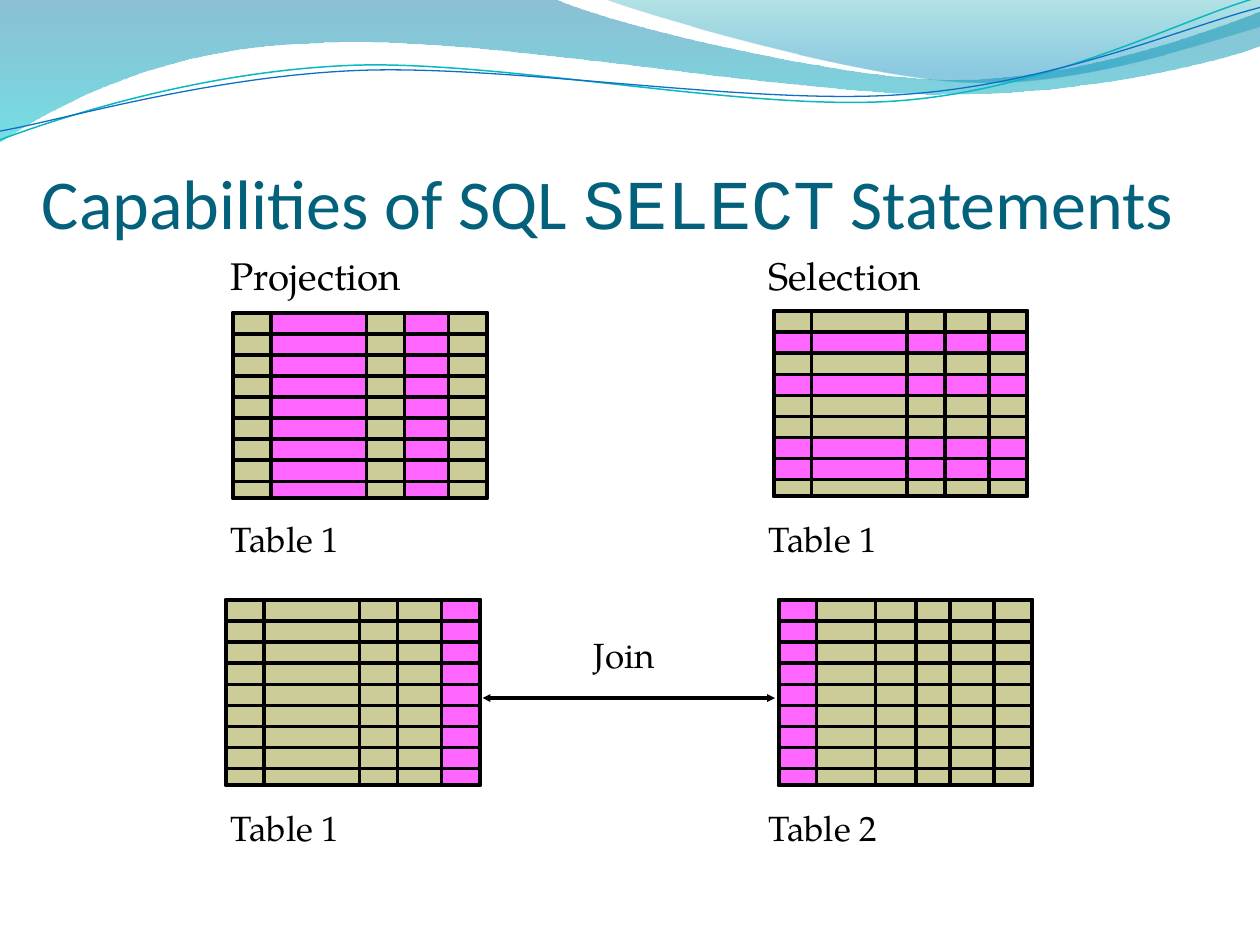
from math import cos, radians, sin

from lxml.etree import SubElement
from pptx import Presentation
from pptx.dml.color import RGBColor
from pptx.enum.shapes import MSO_CONNECTOR as Connector, MSO_SHAPE as Shape
from pptx.enum.text import MSO_ANCHOR as Anchor
from pptx.oxml.ns import qn
from pptx.util import Pt

COLOURS = {
    "title": "04617B", "ink": "000000", "cell": "CCCC99", "marked": "FF66FF",
    "deep": "0074A1", "aqua": "00C6CF", "sea": "00A1A9", "sky": "008BBF",
    "teal line": "0AB8BF", "blue line": "0F6FC6",
}
SERIF = "TeX Gyre Pagella"
GRID_WIDTH, GRID_HEIGHT = 145, 106
COLUMNS = [0, 21.6, 76.2, 97.9, 123.1, GRID_WIDTH]
JOINED_COLUMNS = [0, 21.6, 55.4, 78.5, 97.9, 123.1, GRID_WIDTH]
ROWS = [0] + [0.2 + 12.03 * row for row in range(1, 9)] + [GRID_HEIGHT]
TILT = 2.7


def colour(name):
    """Return the named colour."""
    return RGBColor.from_string(COLOURS[name])


def add_outline(slide, start, pieces, close):
    """Add a freeform; a piece is one point (straight) or three (cubic curve)."""
    points = [(Pt(x), Pt(y)) for x, y in [start, *sum(pieces, [])]]
    builder = slide.shapes.build_freeform(*points[0])
    builder.add_line_segments(points[1:], close=close)
    shape = builder.convert_to_shape()
    shape.shadow.inherit = False
    segments = iter(list(shape._element.iter(qn("a:lnTo"))))
    for piece in pieces:
        segment, *others = [next(segments) for _ in piece]
        if others:
            curve = segment.makeelement(qn("a:cubicBezTo"))
            segment.addprevious(curve)
            for part in (segment, *others):
                curve.append(part[0])
                part.getparent().remove(part)
    return shape


def add_wave(slide, start, pieces, stops):
    """Add a translucent wave; stops are (position, colour, opacity percent)."""
    shape = add_outline(slide, start, pieces, True)
    shape.line.fill.background()
    shape.fill.gradient()
    shape.fill.gradient_angle = 270
    for stop, (position, name, _) in zip(shape.fill.gradient_stops, stops):
        stop.position = position
        stop.color.rgb = colour(name)
    for element, (_, _, opacity) in zip(shape._element.spPr.iter(qn("a:srgbClr")), stops):
        SubElement(element, qn("a:alpha"), val=str(opacity * 1000))


def add_wave_line(slide, centre, start, pieces, name, width):
    """Add a thin curve, levelled about its centre and tilted as a shape."""
    def level(point):
        x, y = point[0] - centre[0], point[1] - centre[1]
        angle = radians(TILT)
        return (centre[0] + x * cos(angle) - y * sin(angle),
                centre[1] + x * sin(angle) + y * cos(angle))

    level_pieces = [[level(point) for point in piece] for piece in pieces]
    shape = add_outline(slide, level(start), level_pieces, False)
    shape.rotation = 360 - TILT
    shape.fill.background()
    shape.line.color.rgb = colour(name)
    shape.line.width = Pt(width)


def add_header(slide):
    """Draw the waves along the top edge."""
    add_wave(slide, (0, 0), [
        [(316.8, -0.7)],
        [(342.7, 12.2), (478.1, 45.4), (545.8, 45.4)],
        [(614.2, 45.4), (689.8, 18.7), (720, 6.5)],
        [(720.7, 25.9)],
        [(707.8, 31.7), (626.4, 54.7), (537.1, 54)],
        [(447.8, 54), (275, 20.2), (185, 24.5)],
        [(92.9, 25.9), (33.1, 59.8), (-0.7, 81.4)],
    ], [(0, "deep", 45), (1, "aqua", 55)])
    add_wave(slide, (344.9, -0.7), [
        [(366.5, 7.9), (491, 44.6), (553.7, 46.8)],
        [(616.3, 49.7), (691.9, 23), (720, 15.1)],
        [(720, 0)],
    ], [(0, "sea", 30), (0.8, "sky", 45)])
    add_wave_line(slide, (359.3, 41.4), (0, 79.9), [
        [(34.6, 67), (113.8, 41), (199.4, 37.4)],
        [(284.4, 33.8), (427, 64.1), (513.4, 57.6)],
        [(599.8, 51.1), (675.4, 10.8), (718.6, -1.4)],
    ], "teal line", 0.85)
    add_wave_line(slide, (359.6, 42.5), (0, 74.9), [
        [(33.8, 69.1), (118.1, 43.9), (203.8, 40.3)],
        [(290.2, 36.7), (429.8, 60.5), (516.2, 54)],
        [(601.9, 48.2), (677.5, 15.1), (720, 4.3)],
    ], "blue line", 0.75)


def add_title(slide, left, top, width, height):
    """Add the title with the keyword in a monospaced font."""
    frame = slide.shapes.add_textbox(Pt(left), Pt(top), Pt(width), Pt(height)).text_frame
    frame.word_wrap = True
    frame.vertical_anchor = Anchor.BOTTOM
    frame.margin_left = frame.margin_right = frame.margin_bottom = 0
    paragraph = frame.paragraphs[0]
    paragraph.font.size = Pt(40)
    paragraph.font.color.rgb = colour("title")
    for text, font in [("Capabilities of SQL ", "Calibri"), ("SELECT", "Courier New"),
                       (" Statements", "Calibri")]:
        run = paragraph.add_run()
        run.text, run.font.name = text, font


def add_label(slide, text, left, top, width, size=20):
    """Add a one-line serif label."""
    box = slide.shapes.add_textbox(Pt(left), Pt(top), Pt(width), Pt(size * 1.55))
    box.text_frame.word_wrap = False
    paragraph = box.text_frame.paragraphs[0]
    paragraph.text = text
    paragraph.font.name, paragraph.font.size = SERIF, Pt(size)
    paragraph.font.color.rgb = colour("ink")


def add_line(slide, x1, y1, x2, y2, width=2):
    """Add a straight black line."""
    line = slide.shapes.add_connector(Connector.STRAIGHT, Pt(x1), Pt(y1), Pt(x2), Pt(y2))
    line.line.color.rgb = colour("ink")
    line.line.width = Pt(width)
    SubElement(line._element.spPr, qn("a:effectLst"))
    return line


def add_box(slide, left, top, width, height, fill=None, outlined=False):
    """Add a rectangle, filled or outlined as asked."""
    box = slide.shapes.add_shape(Shape.RECTANGLE, Pt(left), Pt(top), Pt(width), Pt(height))
    box.shadow.inherit = False
    if fill:
        box.fill.solid()
        box.fill.fore_color.rgb = colour(fill)
    else:
        box.fill.background()
    if outlined:
        box.line.color.rgb = colour("ink")
        box.line.width = Pt(2.25)
    else:
        box.line.fill.background()


def add_grid(slide, left, top, columns=COLUMNS, marked_columns=(), marked_rows=()):
    """Draw a table diagram; marked rows are (first edge, last edge) pairs."""
    add_box(slide, left, top, GRID_WIDTH, GRID_HEIGHT, "cell", True)
    for index in marked_columns:
        add_box(slide, left + columns[index], top + 0.7,
                columns[index + 1] - columns[index], GRID_HEIGHT - 1.4, "marked")
    for first, last in marked_rows:
        add_box(slide, left + 0.5, top + ROWS[first],
                GRID_WIDTH - 1, ROWS[last] - ROWS[first], "marked")
    for y in ROWS[1:-1]:
        add_line(slide, left, top + y, left + GRID_WIDTH, top + y)
    for x in columns[1:-1]:
        add_line(slide, left + x, top, left + x, top + GRID_HEIGHT + 1)
    add_box(slide, left, top, GRID_WIDTH, GRID_HEIGHT, outlined=True)


def add_join(slide, left, top, width):
    """Draw the double arrow and its label above the middle."""
    arrow = add_line(slide, left, top, left + width, top, 2.25)
    for end in ("a:headEnd", "a:tailEnd"):
        SubElement(arrow.line._get_or_add_ln(), qn(end), type="triangle", w="sm", len="sm")
    add_label(slide, "Join", left + 56.5, top - 40.3, 55.4)


def build_slide(slide):
    """Place every region of the slide."""
    add_header(slide)
    add_title(slide, 24, 71.5, 684, 67.7)
    add_grid(slide, 133.2, 178.6, marked_columns=(1, 3))
    add_grid(slide, 442.1, 177.6, marked_rows=((1, 2), (3, 4), (6, 8)))
    add_grid(slide, 129.3, 342.7, marked_columns=(4,))
    add_grid(slide, 445, 342.7, JOINED_COLUMNS, marked_columns=(0,))
    add_join(slide, 275.8, 398.9, 167)
    for left, heading, lower in [(124.6, "Projection", "Table 1"), (432, "Selection", "Table 2")]:
        add_label(slide, heading, left, 140.6, 122, 22)
        add_label(slide, "Table 1", left, 291.9, 83.5)
        add_label(slide, lower, left, 457.2, 83.5)


presentation = Presentation()
presentation.slide_width, presentation.slide_height = Pt(720), Pt(540)
build_slide(presentation.slides.add_slide(presentation.slide_layouts[6]))
presentation.save("out.pptx")
